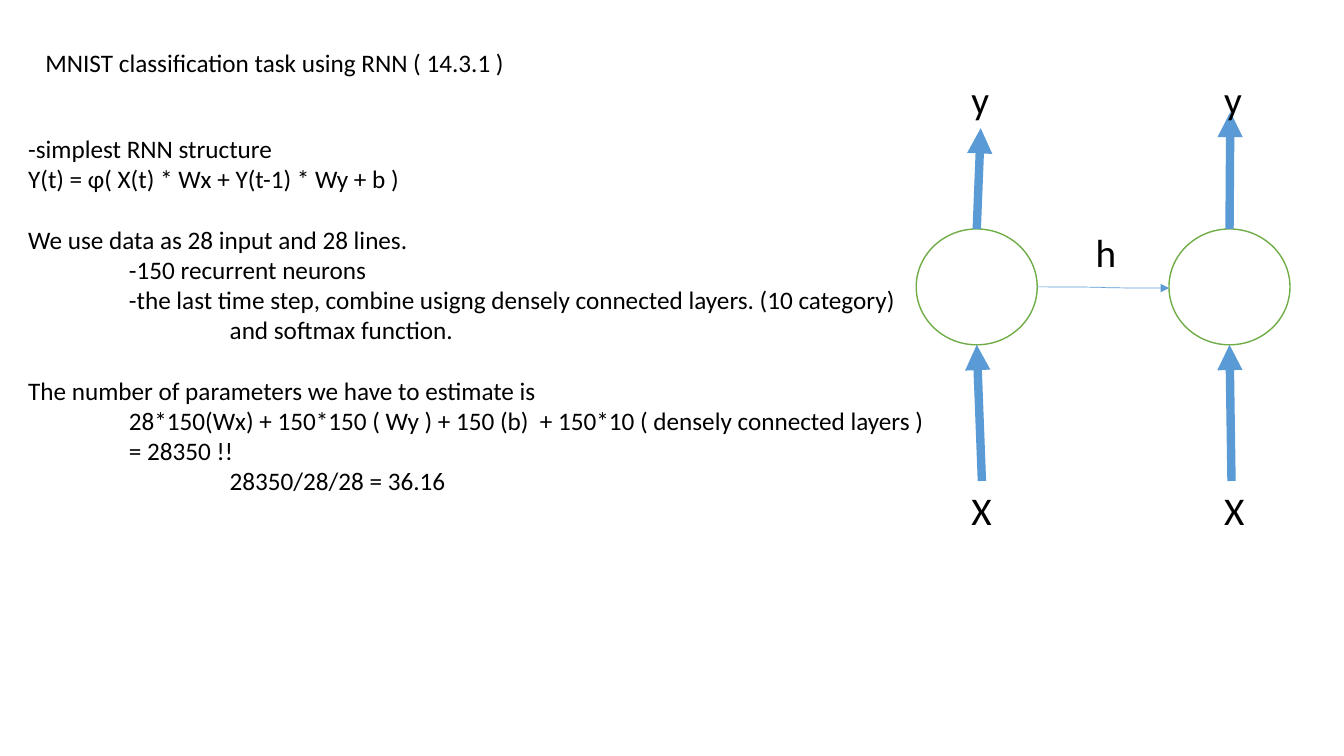
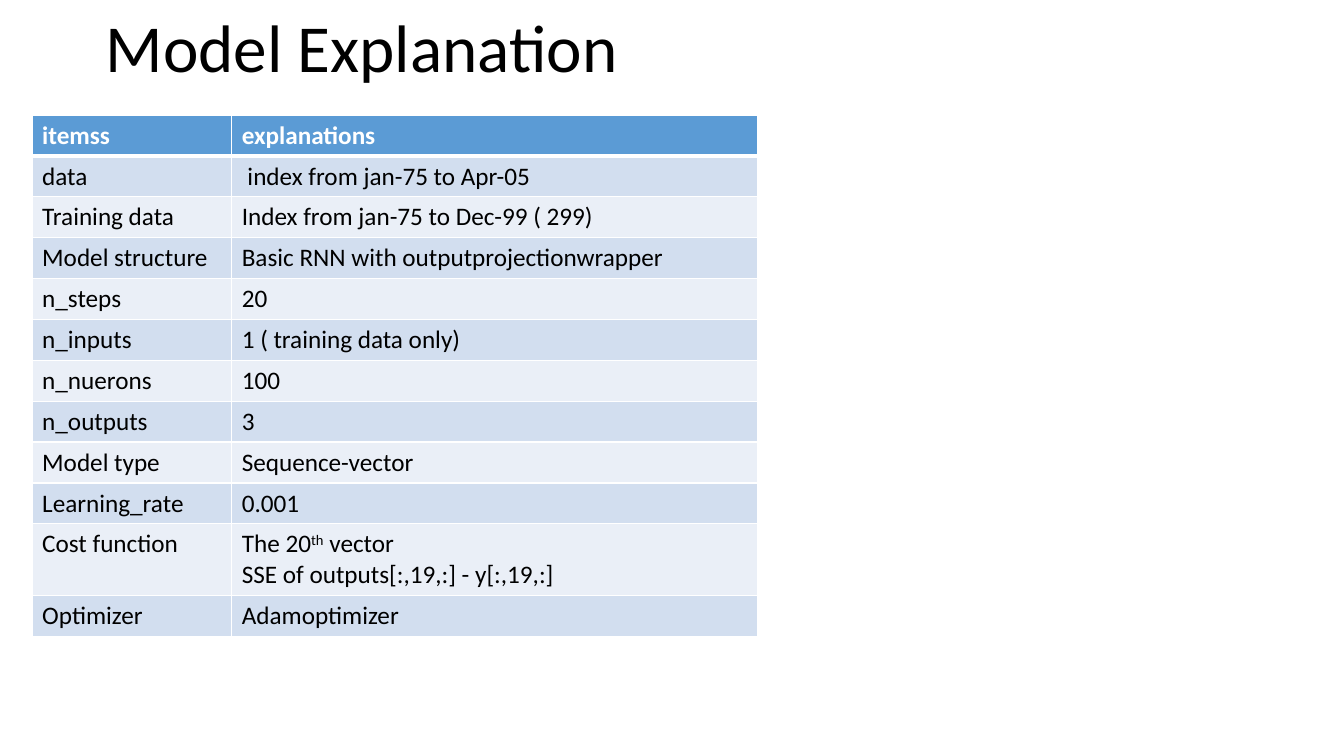
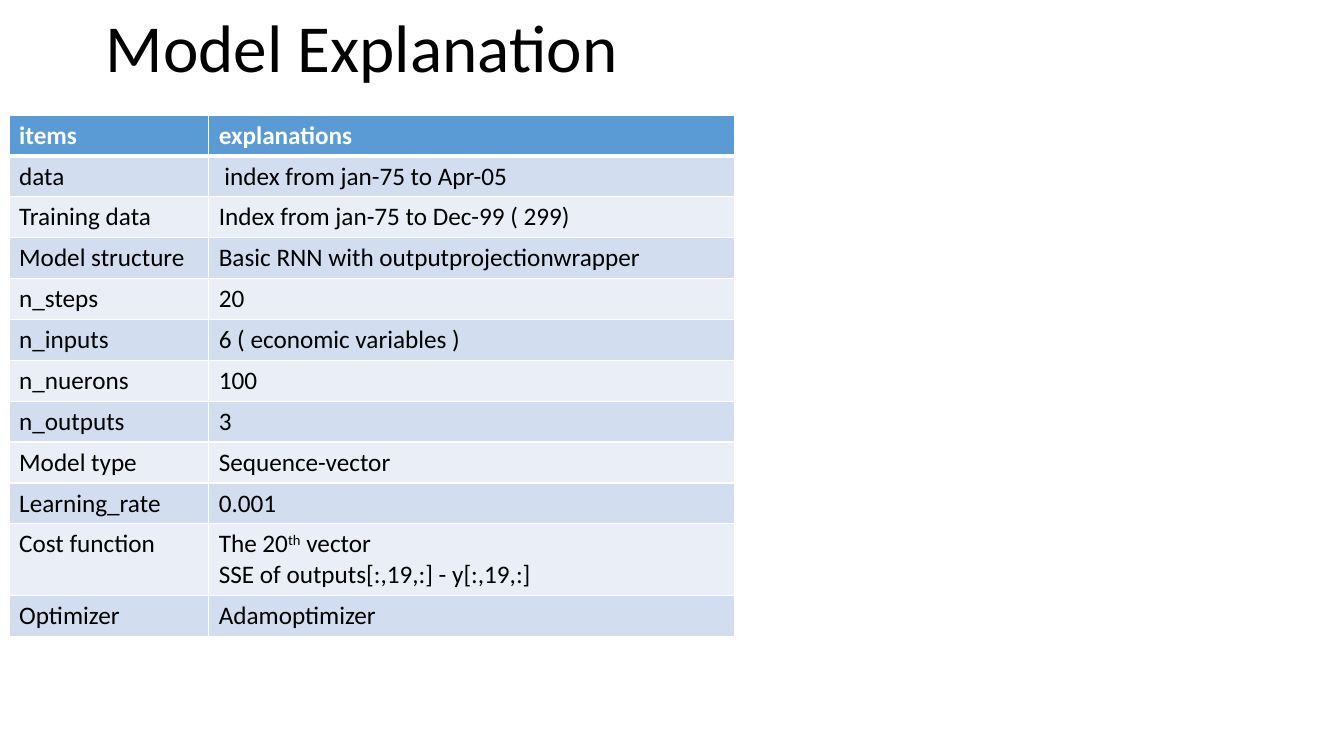
from dataclasses import dataclass

from pptx import Presentation
from pptx import util as u
from pptx.dml.color import RGBColor
from pptx.enum import shapes, text
from pptx.oxml.ns import qn
from lxml import etree


@dataclass(frozen=True)
class Theme:
    font: str = "Calibri"
    ink: str = "000000"
    paper: str = "FFFFFF"
    blue: str = "5B9BD5"
    green: str = "70AD47"
    bands: tuple = ("D2DEEF", "EAEFF7")
    body: float = 18
    label: float = 28
    heading: float = 48


THEME = Theme()
TITLE_ONLY = 5
TAB = 2.54
LINE = 21.6

NOTES = [
    (0, 0, "-simplest RNN structure"),
    (0, 0, "Y(t) = φ( X(t) * Wx + Y(t-1) * Wy + b )"),
    (0, 1, "We use data as 28 input and 28 lines."),
    (1, 0, "-150 recurrent neurons"),
    (1, 0, "-the last time step, combine usigng densely connected layers. (10 category)"),
    (2, 0, "and softmax function."),
    (0, 1, "The number of parameters we have to estimate is"),
    (1, 0, "28*150(Wx) + 150*150 ( Wy ) + 150 (b)  + 150*10 ( densely connected layers )"),
    (1, 0, "= 28350 !!"),
    (2, 0, "28350/28/28 = 36.16"),
]


def model_rows(item_heading, inputs):
    return [
        (item_heading, "explanations"),
        ("data", " index from jan-75 to Apr-05"),
        ("Training data", "Index from jan-75 to Dec-99 ( 299)"),
        ("Model structure", "Basic RNN with outputprojectionwrapper"),
        ("n_steps", "20"),
        ("n_inputs", inputs),
        ("n_nuerons", "100"),
        ("n_outputs", "3"),
        ("Model type", "Sequence-vector"),
        ("Learning_rate", "0.001"),
        ("Cost function", "The 20^th^ vector\nSSE of outputs[:,19,:] - y[:,19,:]"),
        ("Optimizer", "Adamoptimizer"),
    ]


def box(left, top, width, height):
    return [u.Cm(length) for length in (left, top, width, height)]


def write(frame, content, size=THEME.body, color=THEME.ink, bold=False):
    lines = [(0, 0, line) for line in content.split("\n")] if isinstance(content, str) else content
    for number, (indent, gap, line) in enumerate(lines):
        paragraph = frame.add_paragraph() if number else frame.paragraphs[0]
        paragraph.alignment = text.PP_ALIGN.LEFT
        if gap:
            paragraph.space_before = u.Pt(gap * LINE)
        if indent:
            paragraph._p.get_or_add_pPr().set("marL", str(u.Cm(indent * TAB)))
        for part, wording in enumerate(line.split("^")):
            run = paragraph.add_run()
            run.text = wording
            font = run.font
            font.name, font.size, font.bold = THEME.font, u.Pt(size), bold
            font.color.rgb = RGBColor.from_string(color)
            if part % 2:
                font._element.set("baseline", "30000")


def add_title(slide, content, place, size):
    title = slide.shapes.title
    title.left, title.top, title.width, title.height = box(*place)
    frame = title.text_frame
    frame.word_wrap = True
    frame.auto_size = text.MSO_AUTO_SIZE.NONE
    frame.vertical_anchor = text.MSO_ANCHOR.TOP
    write(frame, content, size=size)


def add_text(slide, content, place, **style):
    frame = slide.shapes.add_textbox(*box(*place)).text_frame
    frame.word_wrap = True
    write(frame, content, **style)


def add_neuron(slide, place):
    neuron = slide.shapes.add_shape(shapes.MSO_SHAPE.OVAL, *box(*place))
    neuron.shadow.inherit = False
    neuron.fill.solid()
    neuron.fill.fore_color.rgb = RGBColor.from_string(THEME.paper)
    neuron.line.color.rgb = RGBColor.from_string(THEME.green)
    neuron.line.width = u.Pt(1)


def add_arrow(slide, start, end, weight=6, kind=shapes.MSO_CONNECTOR.STRAIGHT):
    arrow = slide.shapes.add_connector(kind, *box(*start, *end))
    arrow.line.color.rgb = RGBColor.from_string(THEME.blue)
    arrow.line.width = u.Pt(weight)
    etree.SubElement(arrow.line._get_or_add_ln(), qn("a:tailEnd"), type="triangle")
    etree.SubElement(arrow._element.spPr, qn("a:effectLst"))


def add_borders(cell, **weights):
    properties = cell._tc.get_or_add_tcPr()
    for side in "LRTB":
        edge = etree.SubElement(properties, qn("a:ln" + side), w=str(u.Pt(weights.get(side, 1))))
        fill = etree.SubElement(edge, qn("a:solidFill"))
        etree.SubElement(fill, qn("a:srgbClr"), val=THEME.paper)


def add_model_table(slide, left, rows):
    widths = (5.03, 13.26)
    heights = [1.78 if "\n" in explanation else 1.02 for _, explanation in rows]
    place = box(left, 2.9, sum(widths), sum(heights))
    table = slide.shapes.add_table(len(rows), len(widths), *place).table
    table.horz_banding = False
    for column, width in zip(table.columns, widths):
        column.width = u.Cm(width)
    for number, (row, height, wordings) in enumerate(zip(table.rows, heights, rows)):
        row.height = u.Cm(height)
        header = number == 0
        for cell, wording in zip(row.cells, wordings):
            add_borders(cell, B=3 if header else 1, T=3 if number == 1 else 1)
            cell.fill.solid()
            shade = THEME.blue if header else THEME.bands[(number - 1) % 2]
            cell.fill.fore_color.rgb = RGBColor.from_string(shade)
            write(cell.text_frame, wording, bold=header,
                  color=THEME.paper if header else THEME.ink)


def add_time_step(slide, left, input_shift, output_shift, output_top):
    top, width, height = 5.77, 3.05, 2.92
    center = left + width / 2
    add_neuron(slide, (left, top, width, height))
    add_arrow(slide, (center + input_shift, 12.12), (center, top + height))
    add_arrow(slide, (center, top), (center + output_shift, output_top))
    for name, label_top in (("X", 12.12), ("y", 1.78)):
        add_text(slide, name, (left + 1.14, label_top, 1.04, 1.45), size=THEME.label)


def build_network_slide(slide):
    add_title(slide, "MNIST classification task using RNN ( 14.3.1 )",
              (0.89, 1.07, 12.5, 1.02), THEME.body)
    add_text(slide, NOTES, (0.46, 3.23, 23.37, 11.02))
    add_time_step(slide, 23.09, 0.13, 0.1, 3.23)
    add_time_step(slide, 29.46, 0.05, 0.02, 2.82)
    add_arrow(slide, (26.14, 7.23), (29.46, 7.26), weight=0.5, kind=shapes.MSO_CONNECTOR.CURVE)
    add_text(slide, "h", (27.36, 5.64, 1.04, 1.45), size=THEME.label)


def build_model_slide(slide, table_left, item_heading, inputs):
    add_title(slide, "Model Explanation", (2.41, 0, 13.56, 2.31), THEME.heading)
    add_model_table(slide, table_left, model_rows(item_heading, inputs))


def main():
    deck = Presentation()
    deck.slide_width, deck.slide_height = u.Cm(33.87), u.Cm(19.05)
    layout = deck.slide_layouts[TITLE_ONLY]
    build_network_slide(deck.slides.add_slide(layout))
    build_model_slide(deck.slides.add_slide(layout), 0.81, "itemss", "1 ( training data only)")
    build_model_slide(deck.slides.add_slide(layout), 0.23, "items", "6 ( economic variables )")
    deck.save("out.pptx")


if __name__ == "__main__":
    main()
